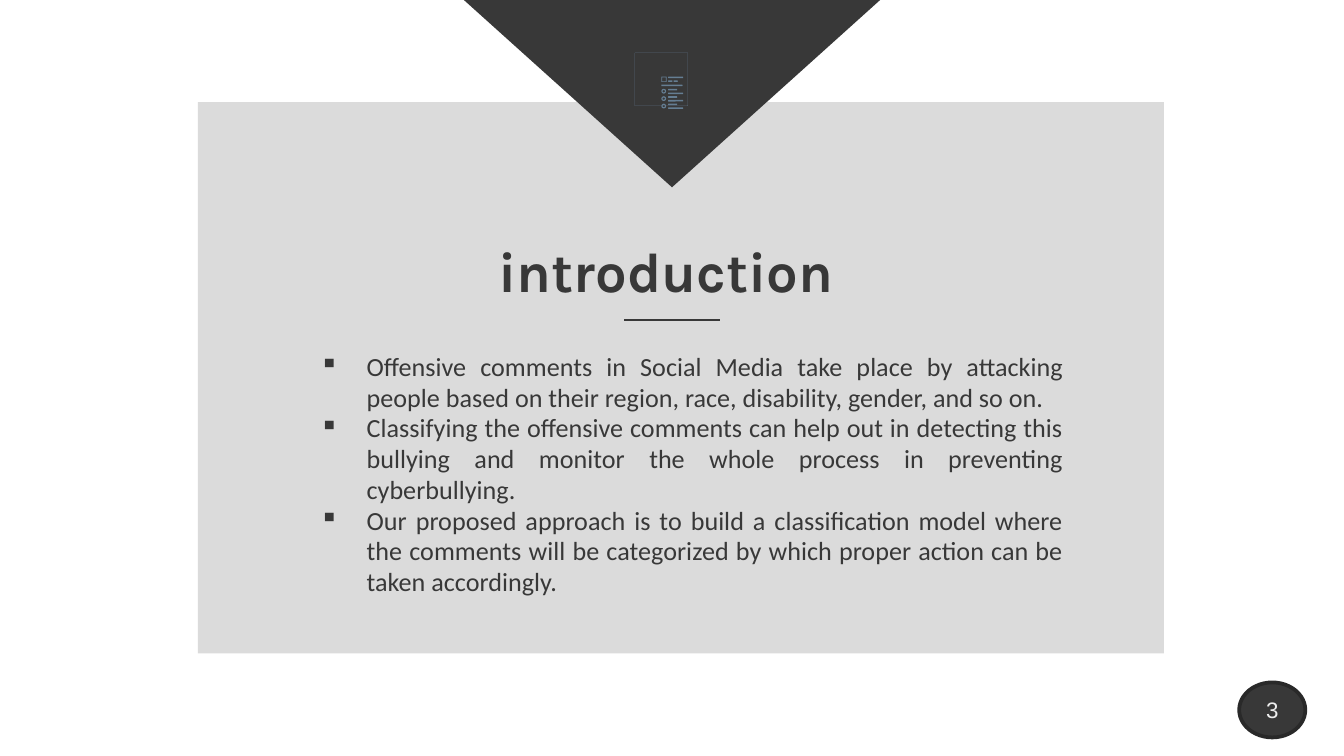
from pptx import Presentation
from pptx.dml.color import RGBColor
from pptx.enum.shapes import MSO_CONNECTOR, MSO_SHAPE
from pptx.enum.text import MSO_ANCHOR, PP_ALIGN
from pptx.oxml.ns import qn
from pptx.util import Cm, Pt
from lxml.etree import SubElement

# Content
TITLE = "introduction "
POINTS = [
    "Offensive comments in Social Media take place by attacking people based on "
    "their region, race, disability, gender, and so on.",
    "Classifying the offensive comments can help out in detecting this bullying "
    "and monitor the whole process in preventing cyberbullying.",
    "Our proposed approach is to build a classification model where the comments "
    "will be categorized by which proper action can be taken accordingly. ",
]
PAGE = "3"
COLORS = {"panel": "DBDBDB", "dark": "383838", "edge": "292929",
          "page": "EEEEEE", "icon": "657E93"}

# Clipboard icon, in cm: closed outlines, then bars as (left, top, width)
BOARD = [
    [(12.35, 1.32), (12.55, 1.32), (12.6, 1.27), (12.7, 1.24), (12.8, 1.27),
     (12.85, 1.32), (13.05, 1.32), (13.05, 2.2), (13, 2.24), (12.4, 2.24),
     (12.35, 2.2)],
    [(12.38, 1.35), (12.38, 2.17), (12.42, 2.21), (12.98, 2.21), (13.02, 2.17),
     (13.02, 1.35), (12.86, 1.35), (12.86, 1.4), (12.54, 1.4), (12.54, 1.35)],
    [(12.57, 1.33), (12.64, 1.32), (12.7, 1.28), (12.76, 1.32), (12.83, 1.33),
     (12.83, 1.37), (12.57, 1.37)],
]
SHEET = [
    [(12.42, 1.38), (12.52, 1.38), (12.52, 1.4), (12.45, 1.4), (12.45, 2.11),
     (12.95, 2.11), (12.95, 1.4), (12.88, 1.4), (12.88, 1.38), (12.98, 1.38),
     (12.98, 2.14), (12.42, 2.14)],
]
BARS = [(12.63, 1.45, 0.28), (12.63, 1.52, 0.08), (12.73, 1.52, 0.08),
        (12.5, 1.6, 0.4)]
ROWS, ROW_TOP, ROW_STEP = 3, 1.68, 0.14

prs = Presentation()
prs.slide_width, prs.slide_height = Cm(25.4), Cm(14.29)
s = prs.slides.add_slide(prs.slide_layouts[6])


def rgb(name):
    return RGBColor.from_string(COLORS[name])


def paint(sp, fill):
    sp.shadow.inherit = False
    sp.fill.solid()
    sp.fill.fore_color.rgb = rgb(fill)
    sp.line.fill.background()
    return sp


def shape(kind, x, y, w, h, fill):
    return paint(s.shapes.add_shape(kind, Cm(x), Cm(y), Cm(w), Cm(h)), fill)


def outline(contours, fill):
    first, *rest = contours
    fb = s.shapes.build_freeform(*first[0], scale=Cm(1))
    fb.add_line_segments(first[1:])
    for pts in rest:
        fb.move_to(*pts[0])
        fb.add_line_segments(pts[1:])
    paint(fb.convert_to_shape(), fill)


def text_box(x, y, w, h):
    tf = s.shapes.add_textbox(Cm(x), Cm(y), Cm(w), Cm(h)).text_frame
    tf.word_wrap = True
    tf.margin_left = tf.margin_right = tf.margin_top = tf.margin_bottom = Cm(0.25)
    return tf


def add_run(p, text, size, font, color, bold=False):
    r = p.add_run()
    r.text = text
    r.font.size, r.font.name, r.font.bold = Pt(size), font, bold
    r.font.color.rgb = rgb(color)


def add_bullet(p):
    pPr = p._p.get_or_add_pPr()
    pPr.set("marL", str(Cm(1.27)))
    pPr.set("indent", str(-Cm(0.89)))
    clr = SubElement(SubElement(pPr, qn("a:buClr")), qn("a:srgbClr"))
    clr.set("val", COLORS["dark"])
    SubElement(pPr, qn("a:buChar")).set("char", "▪")


# Panel and downward triangle
shape(MSO_SHAPE.RECTANGLE, 3.74, 1.93, 18.26, 10.42, "panel")
shape(MSO_SHAPE.ISOSCELES_TRIANGLE, 8.7, -0.06, 8, 3.6, "dark").rotation = 180

# Bulleted points
tf = text_box(5.41, 6.4, 14.94, 5.18)
for i, point in enumerate(POINTS):
    p = tf.paragraphs[0] if i == 0 else tf.add_paragraph()
    p.alignment = PP_ALIGN.JUSTIFY
    p.line_spacing = 0.98
    add_bullet(p)
    add_run(p, point, 14, "Calibri", "dark")

# Title and rule
p = text_box(4.7, 4.22, 16.03, 1.47).paragraphs[0]
p.alignment = PP_ALIGN.CENTER
add_run(p, TITLE, 30, "Karla", "dark", bold=True)
rule = s.shapes.add_connector(MSO_CONNECTOR.STRAIGHT,
                              Cm(11.8), Cm(6.05), Cm(13.6), Cm(6.05))
rule.line.color.rgb = rgb("dark")
rule.line.width = Pt(1.5)
SubElement(rule._element.spPr, qn("a:effectLst"))

# Page number
sp = shape(MSO_SHAPE.OVAL, 23.42, 12.9, 1.25, 1.04, "dark")
sp.line.color.rgb = rgb("edge")
sp.line.width = Pt(2)
tf = sp.text_frame
tf.margin_left = tf.margin_right = tf.margin_top = tf.margin_bottom = 0
tf.vertical_anchor = MSO_ANCHOR.MIDDLE
p = tf.paragraphs[0]
p.alignment = PP_ALIGN.CENTER
add_run(p, PAGE, 12, "Arial", "page")

# Clipboard: board, sheet, checkbox, then list rows of a ring and two bars
outline(BOARD, "icon")
outline(SHEET, "icon")
shape(MSO_SHAPE.FRAME, 12.5, 1.45, 0.1, 0.1, "icon")
bars = list(BARS)
for i in range(ROWS):
    y = ROW_TOP + i * ROW_STEP
    shape(MSO_SHAPE.DONUT, 12.5, y, 0.09, 0.09, "icon")
    bars += [(12.63, y, 0.17), (12.63, y + 0.07, 0.28)]
for x, y, w in bars:
    shape(MSO_SHAPE.ROUNDED_RECTANGLE, x, y, w, 0.03, "icon")

prs.save("out.pptx")
